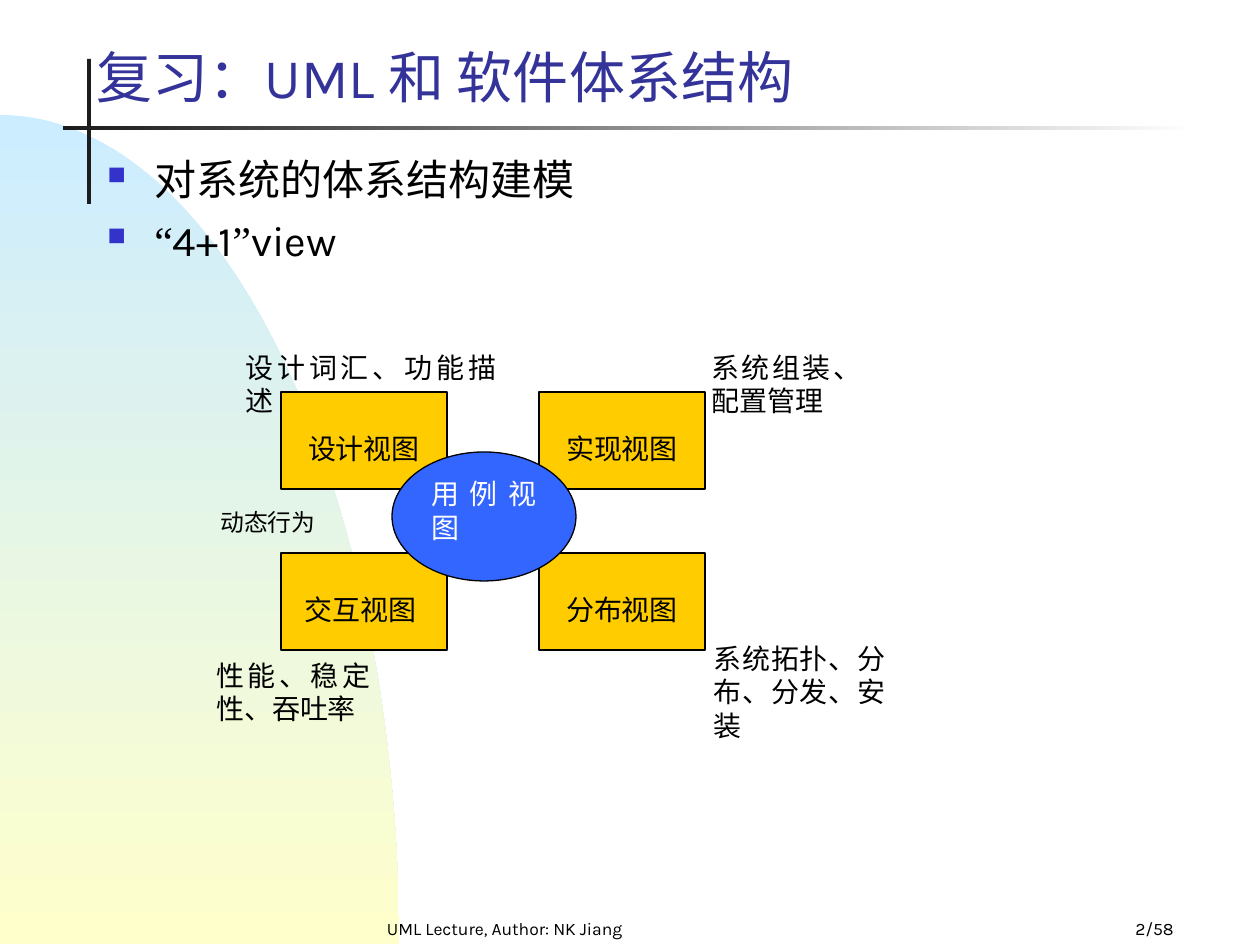
import math
from dataclasses import dataclass

from lxml import etree
from pptx import Presentation
from pptx.dml.color import RGBColor
from pptx.enum.shapes import MSO_SHAPE
from pptx.enum.text import MSO_ANCHOR, MSO_AUTO_SIZE, PP_ALIGN
from pptx.oxml.ns import qn
from pptx.util import Pt

RECTANGLE, OVAL = MSO_SHAPE.RECTANGLE, MSO_SHAPE.OVAL
TOP, BOTTOM = MSO_ANCHOR.TOP, MSO_ANCHOR.BOTTOM
LEFT, CENTER = PP_ALIGN.LEFT, PP_ALIGN.CENTER
RIGHT, JUSTIFY = PP_ALIGN.RIGHT, PP_ALIGN.JUSTIFY
NO_AUTOFIT = MSO_AUTO_SIZE.NONE
SCALE = 914400 / 126


@dataclass(frozen=True)
class Theme:
    sans: str = "Karla"
    serif: str = "Times New Roman"
    title: str = "333399"
    ink: str = "000000"
    white: str = "FFFFFF"
    bullet: str = "3333CC"
    rule: str = "1C1C1C"
    sky: str = "CCECFF"
    cream: str = "FFFFCC"
    view: str = "FFCC00"
    use_case: str = "3366FF"
    title_size: float = 32
    body_size: float = 24
    label_size: float = 16
    small_size: float = 13.6
    footer_size: float = 10


theme = Theme()


def px(*lengths):
    return [round(length * SCALE) for length in lengths]


def add_text(para, text, font, size, color, align):
    para.alignment = align
    span = para.add_run()
    span.text = text
    span.font.name = font
    span.font.size = Pt(size)
    span.font.color.rgb = RGBColor.from_string(color)


deck = Presentation()
deck.slide_width, deck.slide_height = px(1260, 945)
page = deck.slides.add_slide(deck.slide_layouts[5])

arc_width, arc_top, arc_bottom, arc_steps = 399, 115, 944, 90
arc = []
for step in range(1, arc_steps + 1):
    angle = math.pi / 2 * step / arc_steps
    arc.append(px(arc_width * math.sin(angle),
                  arc_bottom - (arc_bottom - arc_top) * math.cos(angle)))
builder = page.shapes.build_freeform(*px(0, arc_top), scale=1.0)
builder.add_line_segments(arc + [px(0, arc_bottom)], close=True)
backdrop = builder.convert_to_shape()
vertical_rule = page.shapes.add_shape(RECTANGLE, *px(87, 59, 4, 145))
horizontal_rule = page.shapes.add_shape(RECTANGLE, *px(63, 126, 1134, 4))

vertical_rule.fill.solid()
vertical_rule.fill.fore_color.rgb = RGBColor.from_string(theme.rule)
for shape, colors, angle in [
    (backdrop, (theme.sky, theme.cream), 270),
    (horizontal_rule, (theme.rule, theme.white), 0),
]:
    shape.fill.gradient()
    shape.fill.gradient_angle = angle
    for stop, color, position in zip(shape.fill.gradient_stops, colors, (0, 1)):
        stop.color.rgb = RGBColor.from_string(color)
        stop.position = position
for shape in (backdrop, vertical_rule, horizontal_rule):
    shape.line.fill.background()
    shape.shadow.inherit = False

title = page.shapes.title
title.left, title.top, title.width, title.height = px(84, 21, 892, 95)
title.text_frame.auto_size = NO_AUTOFIT
title.text_frame.vertical_anchor = BOTTOM
add_text(title.text_frame.paragraphs[0], "复习：UML 和 软件体系结构",
         theme.sans, theme.title_size, theme.title, LEFT)

body = page.shapes.add_textbox(*px(95, 147, 1032, 176)).text_frame
body.word_wrap = True
bullets = [
    [("对系统的体系结构建模", theme.sans)],
    [("“", theme.serif), ("4+1", theme.sans),
     ("”", theme.serif), ("view", theme.sans)],
]
for index, pieces in enumerate(bullets):
    para = body.add_paragraph() if index else body.paragraphs[0]
    properties = para._p.get_or_add_pPr()
    indent = px(47)[0]
    properties.set("marL", str(indent))
    properties.set("indent", str(-indent))
    bullet_color = etree.SubElement(properties, qn("a:buClr"))
    etree.SubElement(bullet_color, qn("a:srgbClr"), val=theme.bullet)
    etree.SubElement(properties, qn("a:buSzPct"), val="60000")
    etree.SubElement(properties, qn("a:buChar"), char="■")
    if index:
        para.space_before = Pt(6)
    for text, font in pieces:
        add_text(para, text, font, theme.body_size, theme.ink, LEFT)

views = [["设计视图", "实现视图"], ["交互视图 ", "分布视图"]]
nodes = []
for row, names in enumerate(views):
    for column, name in enumerate(names):
        place = (281 + 258 * column, 392 + 161 * row, 166, 97)
        nodes.append((RECTANGLE, place, name, theme.view, theme.ink, CENTER, 40))
nodes.append((OVAL, (392, 452, 184, 129), "用例视图",
              theme.use_case, theme.white, JUSTIFY, 6))
for kind, place, name, fill, color, align, inset in nodes:
    node = page.shapes.add_shape(kind, *px(*place))
    node.shadow.inherit = False
    node.fill.solid()
    node.fill.fore_color.rgb = RGBColor.from_string(fill)
    node.line.color.rgb = RGBColor.from_string(theme.ink)
    node.line.width = Pt(0.75)
    frame = node.text_frame
    frame.word_wrap = True
    frame.vertical_anchor = TOP
    frame.margin_top = px(inset)[0]
    add_text(frame.paragraphs[0], name, theme.serif, theme.label_size, color, align)

label = (theme.serif, theme.label_size, JUSTIFY, TOP, 1)
small_label = (theme.serif, theme.small_size, JUSTIFY, TOP, 0.9)
footer = (theme.sans, theme.footer_size, CENTER, BOTTOM, 1)
page_number = (theme.sans, theme.footer_size, RIGHT, BOTTOM, 1)
notes = [
    ("动态行为", (208, 505, 129, 48), small_label),
    ("设计词汇、功能描述", (233, 344, 276, 48), label),
    ("系统组装、配置管理", (699, 344, 147, 149), label),
    ("性能、稳定性、吞吐率", (204, 652, 179, 89), label),
    ("系统拓扑、分布、分发、安装", (701, 635, 197, 115), label),
    ("UML Lecture, Author: NK Jiang", (305, 903, 399, 42), footer),
    ("2/58", (924, 903, 262, 42), page_number),
]
for text, place, (font, size, align, anchor, spacing) in notes:
    frame = page.shapes.add_textbox(*px(*place)).text_frame
    frame.word_wrap = True
    frame.vertical_anchor = anchor
    para = frame.paragraphs[0]
    para.line_spacing = spacing
    add_text(para, text, font, size, theme.ink, align)

deck.save("out.pptx")
